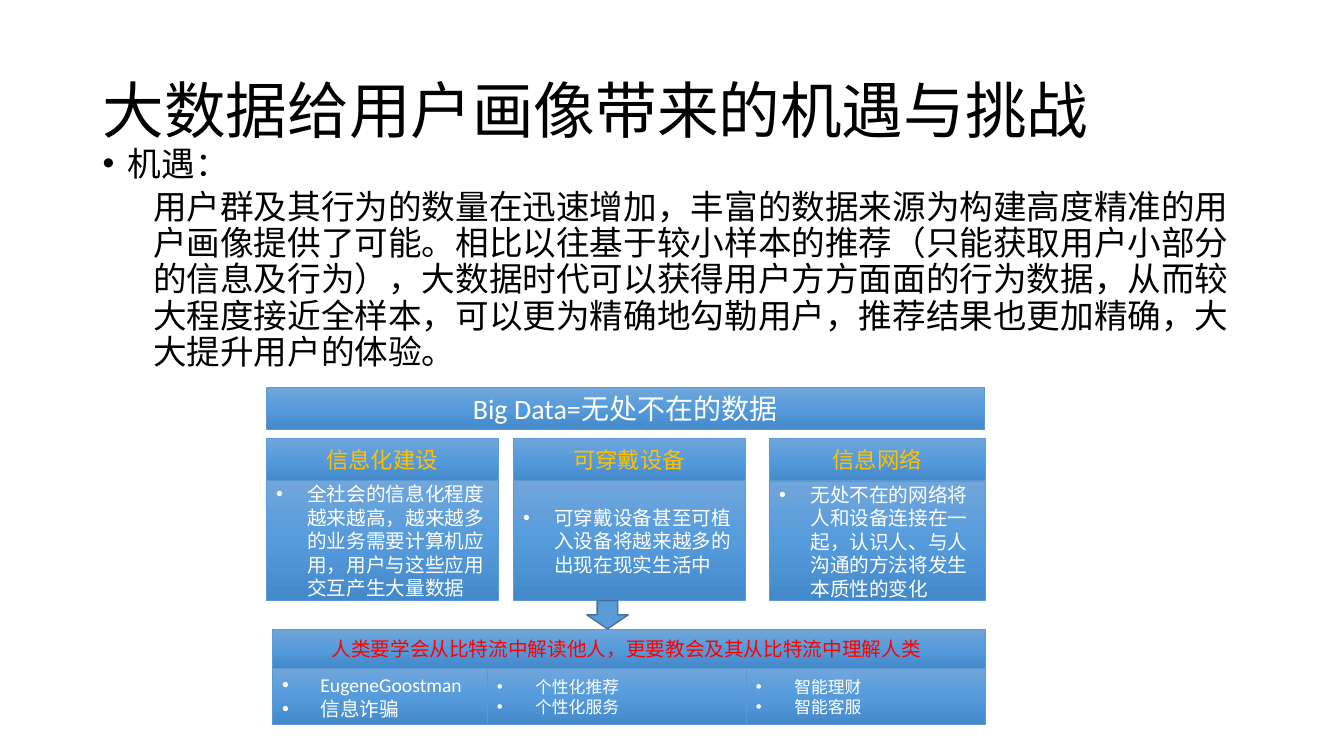
from copy import deepcopy
from lxml import etree
from pptx import Presentation
from pptx.dml.color import RGBColor
from pptx.enum import shapes, text
from pptx.oxml.ns import qn
from pptx.util import Inches, Pt

BLACK = RGBColor(0x00, 0x00, 0x00)
WHITE = RGBColor(0xFF, 0xFF, 0xFF)
GOLD = RGBColor(0xFF, 0xC0, 0x00)
RED = RGBColor(0xFF, 0x00, 0x00)
BLUE = RGBColor(0x5B, 0x9B, 0xD5)
ARROW_EDGE = RGBColor(0x43, 0x73, 0x9E)
GRADIENT = [
    (0, RGBColor(0x71, 0xA6, 0xDB)),
    (0.5, RGBColor(0x55, 0x9B, 0xDB)),
    (1, RGBColor(0x44, 0x8A, 0xCA)),
]


def write(shape, lines, size, color, align=text.PP_ALIGN.LEFT, bullet_indent=0,
          anchor=text.MSO_ANCHOR.MIDDLE):
    frame = shape.text_frame
    frame.word_wrap = True
    frame.vertical_anchor = anchor
    for index, line in enumerate(lines):
        paragraph = frame.add_paragraph() if index else frame.paragraphs[0]
        paragraph.alignment = align
        if bullet_indent:
            properties = paragraph._p.get_or_add_pPr()
            properties.set("marL", str(Inches(bullet_indent)))
            properties.set("indent", str(-Inches(bullet_indent)))
            etree.SubElement(properties, qn("a:buFont"), typeface="Arial")
            etree.SubElement(properties, qn("a:buChar"), char="•")
        run = paragraph.add_run()
        run.text = line
        run.font.size = Pt(size)
        run.font.name = "Calibri"
        run.font.color.rgb = color
    return frame.paragraphs


def add_panel(left, top, width, height):
    shape = slide.shapes.add_shape(
        shapes.MSO_SHAPE.RECTANGLE, Inches(left), Inches(top), Inches(width), Inches(height))
    shape.shadow.inherit = False
    shape.fill.gradient()
    shape.fill.gradient_angle = 270
    stop_list = shape.fill._xPr.find(qn("a:gradFill")).find(qn("a:gsLst"))
    stop_list.append(deepcopy(stop_list[0]))
    for stop, (position, color) in zip(shape.fill.gradient_stops, GRADIENT):
        stop.position = position
        stop.color.rgb = color
    shape.line.color.rgb = BLUE
    shape.line.width = Pt(0.5)
    return shape


presentation = Presentation()
presentation.slide_width = Inches(13.33)
presentation.slide_height = Inches(7.5)
slide = presentation.slides.add_slide(presentation.slide_layouts[6])

title = slide.shapes.add_textbox(Inches(0.92), Inches(0.4), Inches(11.5), Inches(1.45))
write(title, ["大数据给用户画像带来的机遇与挑战"], 44, BLACK)[0].line_spacing = 0.9

body = slide.shapes.add_textbox(Inches(0.92), Inches(1.41), Inches(11.5), Inches(2.33))
heading, detail = write(body, [
    "机遇：",
    "用户群及其行为的数量在迅速增加，丰富的数据来源为构建高度精准的用户画像提供了可能。"
    "相比以往基于较小样本的推荐（只能获取用户小部分的信息及行为），"
    "大数据时代可以获得用户方方面面的行为数据，从而较大程度接近全样本，"
    "可以更为精确地勾勒用户，推荐结果也更加精确，大大提升用户的体验。",
], 24, BLACK, bullet_indent=0.25, anchor=text.MSO_ANCHOR.TOP)
heading.line_spacing = detail.line_spacing = 0.9
detail.space_before = Pt(5)
detail_properties = detail._p.get_or_add_pPr()
detail_properties.set("marL", str(Inches(0.5)))
detail_properties.set("indent", "0")
for tag in ("a:buFont", "a:buChar"):
    detail_properties.remove(detail_properties.find(qn(tag)))
detail_properties.append(etree.Element(qn("a:buNone")))

CENTER = text.PP_ALIGN.CENTER
write(add_panel(2.64, 3.84, 7.12, 0.42), ["Big Data=无处不在的数据"], 20, WHITE, CENTER)

columns = [
    (2.64, 2.3, 4.77, "信息化建设",
     "全社会的信息化程度越来越高，越来越多的业务需要计算机应用，用户与这些应用交互产生大量数据"),
    (5.09, 2.3, 4.77, "可穿戴设备",
     "可穿戴设备甚至可植入设备将越来越多的出现在现实生活中"),
    (7.63, 2.14, 4.78, "信息网络",
     "无处不在的网络将人和设备连接在一起，认识人、与人沟通的方法将发生本质性的变化"),
]
for left, width, top, name, description in columns:
    write(add_panel(left, 4.35, width, 0.42), [name], 16, GOLD, CENTER)
    write(add_panel(left, top, width, 5.96 - top), [description], 14, WHITE, bullet_indent=0.31)

write(add_panel(2.7, 6.24, 7.07, 0.39),
      ["人类要学会从比特流中解读他人，更要教会及其从比特流中理解人类 "], 14, RED, CENTER)

applications = [
    (2.13, 14, ["EugeneGoostman", "信息诈骗"]),
    (2.57, 12, ["个性化推荐", "个性化服务"]),
    (2.37, 12, ["智能理财", "智能客服"]),
]
left = 2.7
for width, size, examples in applications:
    write(add_panel(left, 6.63, width, 0.56), examples, size, WHITE, bullet_indent=0.38)
    left += width

arrow = slide.shapes.add_shape(
    shapes.MSO_SHAPE.DOWN_ARROW, Inches(5.82), Inches(5.96), Inches(0.41), Inches(0.28))
arrow.shadow.inherit = False
arrow.fill.solid()
arrow.fill.fore_color.rgb = BLUE
arrow.line.color.rgb = ARROW_EDGE
arrow.line.width = Pt(1)

presentation.save("out.pptx")
